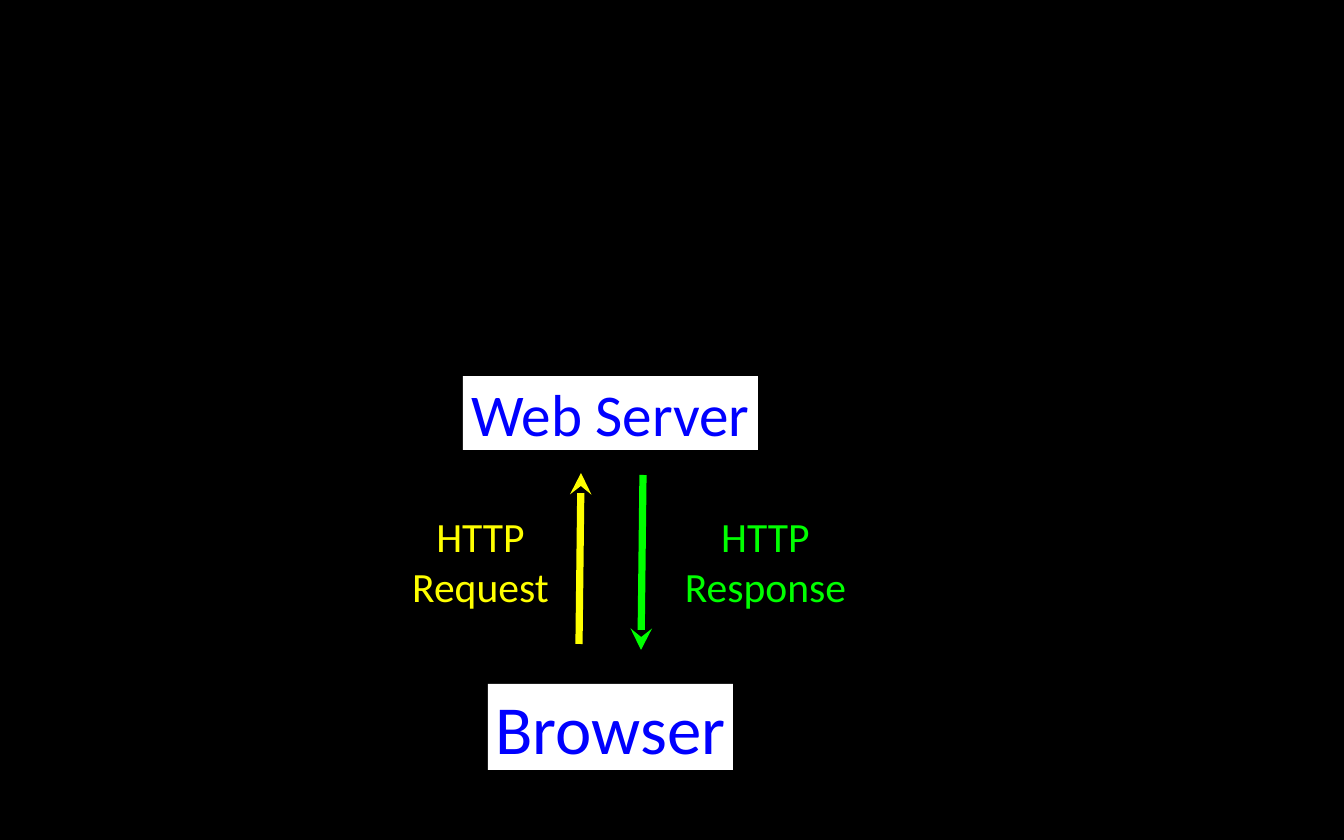
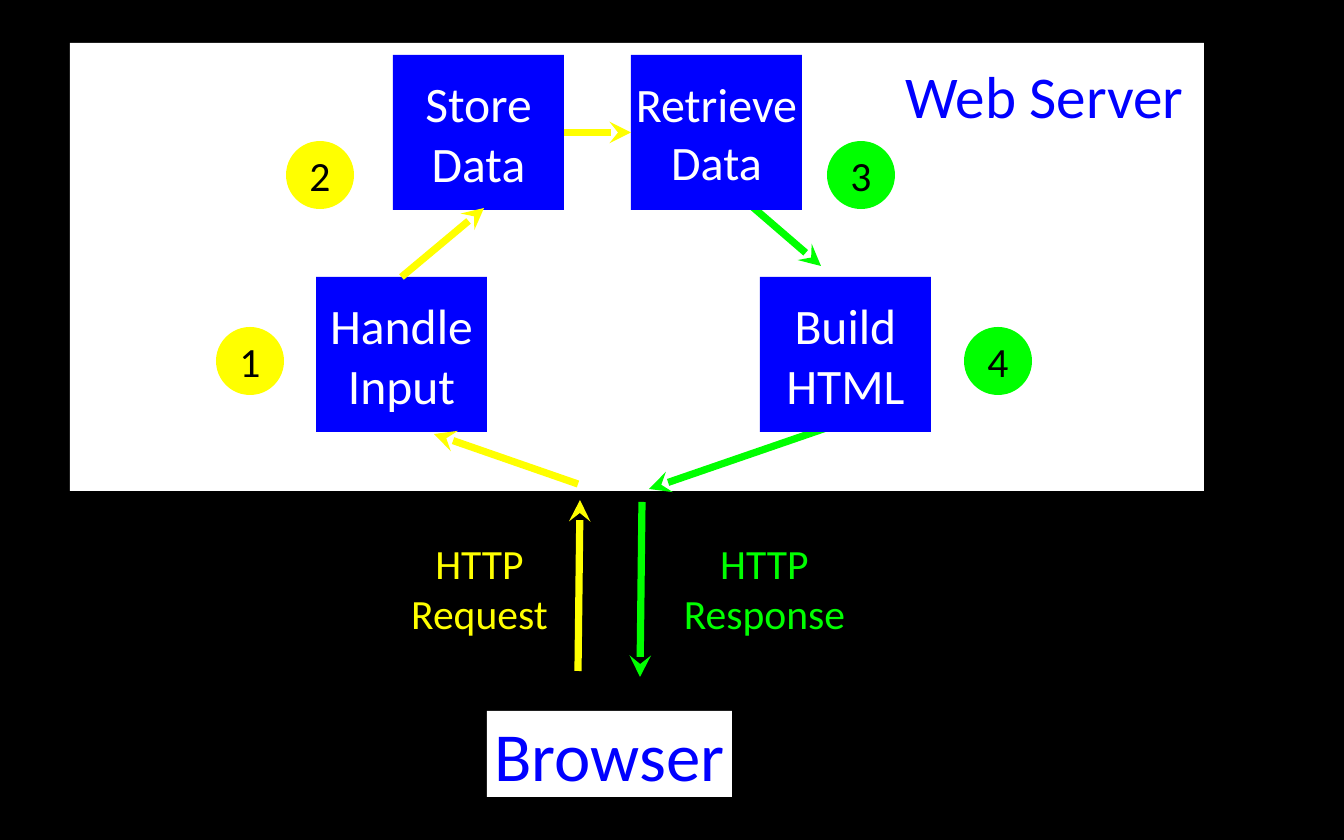
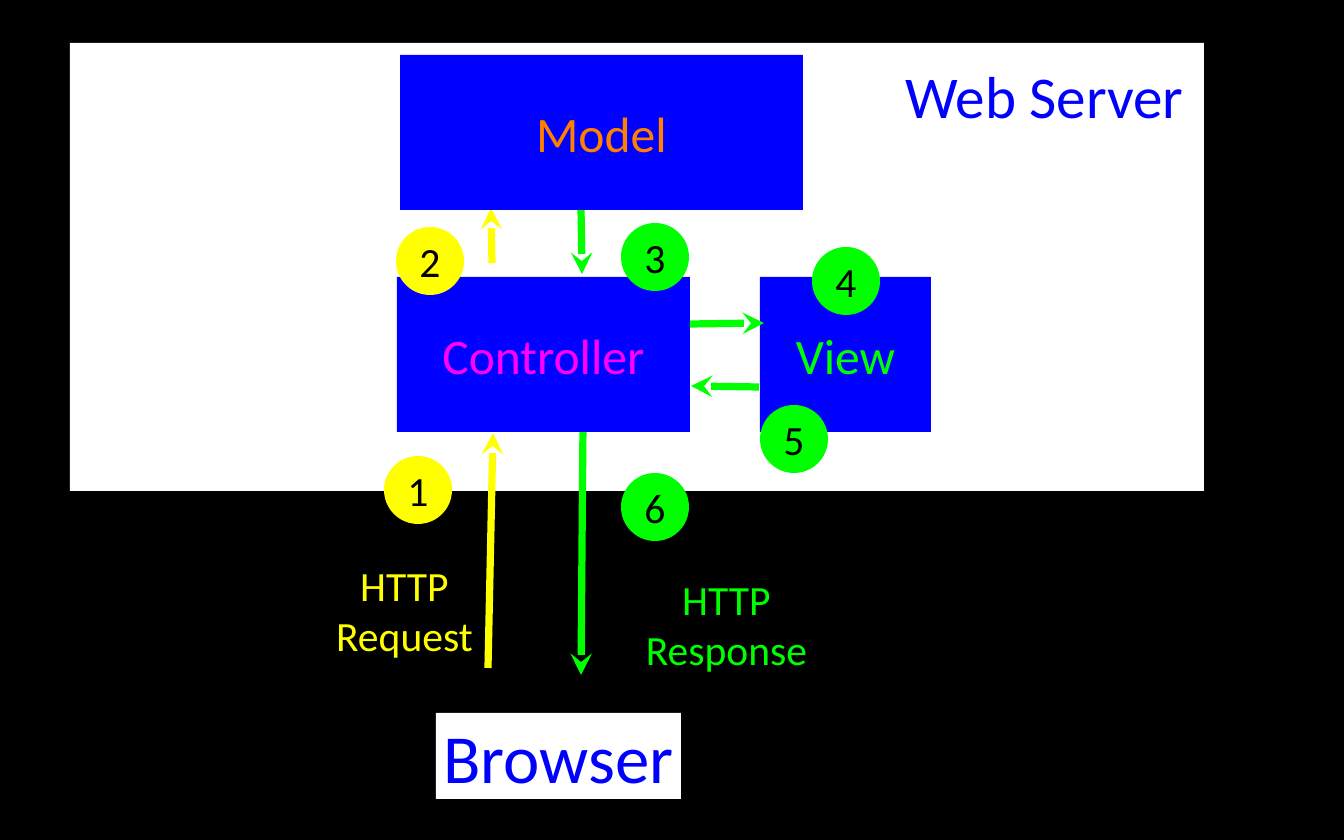
from lxml.etree import SubElement
from pptx import Presentation
from pptx.dml.color import RGBColor
from pptx.enum.shapes import MSO_CONNECTOR, MSO_SHAPE
from pptx.enum.text import MSO_ANCHOR, PP_ALIGN
from pptx.oxml.ns import qn
from pptx.util import Emu, Pt

PX = 15875
BLACK, WHITE, BLUE = "000000", "FFFFFF", "0000FF"
YELLOW, GREEN, MAGENTA, ORANGE = "FFFF00", "00FF00", "FF00FF", "FF7F00"
FONT = "Calibri"
FRAME = dict(margin_left=0, margin_right=0, margin_top=0, margin_bottom=0,
             vertical_anchor=MSO_ANCHOR.MIDDLE)
BOX_W, BOX_H, BADGE = 171, 155, 68
TOP_ROW, LOWER_ROW = 55, 277


def px(*lengths):
    return [Emu(n * PX) for n in lengths]


def rgb(value):
    return RGBColor.from_string(value)


class Diagram:
    """Hold the shared style and the current slide, and draw each kind of element."""

    def __init__(self):
        self.prs = Presentation()
        self.prs.slide_width, self.prs.slide_height = px(1344, 840)
        fill = self.prs.slide_master.background.fill
        fill.solid()
        fill.fore_color.rgb = rgb(BLACK)

    def new_slide(self):
        self.s = self.prs.slides.add_slide(self.prs.slide_layouts[6])

    def set_text(self, sp, text, size, color, wrap):
        tf = sp.text_frame
        for name, value in dict(FRAME, word_wrap=wrap).items():
            setattr(tf, name, value)
        for i, line in enumerate(text.split("\n")):
            p = tf.add_paragraph() if i else tf.paragraphs[0]
            p.alignment = PP_ALIGN.CENTER
            r = p.add_run()
            r.text = line
            for name, value in dict(name=FONT, size=Pt(size)).items():
                setattr(r.font, name, value)
            r.font.color.rgb = rgb(color)

    def shape(self, kind, x, y, w, h, fill, text="", size=62, color=BLUE, wrap=True):
        sp = self.s.shapes.add_shape(kind, *px(x, y, w, h))
        sp.shadow.inherit = False
        sp.fill.solid()
        sp.fill.fore_color.rgb = rgb(fill)
        sp.line.fill.background()
        if text:
            self.set_text(sp, text, size, color, wrap)
        return sp

    def plate(self, x, y, w, h, text, size):
        return self.shape(MSO_SHAPE.RECTANGLE, x, y, w, h, WHITE, text, size, BLUE, False)

    def box(self, x, y, text, color=WHITE, size=62, w=BOX_W):
        return self.shape(MSO_SHAPE.RECTANGLE, x, y, w, BOX_H, BLUE, text, size, color)

    def badge(self, x, y, number, fill):
        self.shape(MSO_SHAPE.OVAL, x, y, BADGE, BADGE, fill, str(number), 52, BLACK)

    def label(self, x, y, w, text, color):
        sp = self.s.shapes.add_textbox(*px(x, y, w, 103))
        self.set_text(sp, text, 52, color, False)

    def arrow(self, x1, y1, x2, y2, color):
        c = self.s.shapes.add_connector(MSO_CONNECTOR.STRAIGHT, *px(x1, y1, x2, y2))
        c.line.width = Pt(9)
        c.line.color.rgb = rgb(color)
        props = c.element.spPr
        SubElement(props.find(qn("a:ln")), qn("a:tailEnd"), type="stealth")
        SubElement(props, qn("a:effectLst"))
        return c

    def server_name(self, x, y):
        self.plate(x, y, 295, 74, "Web Server", 74)

    def server_panel(self):
        self.shape(MSO_SHAPE.RECTANGLE, 70, 43, 1134, 448, WHITE)
        self.server_name(897, 58)

    def exchange(self, browser, request, response, request_arrow, response_arrow):
        self.label(*request, 143, "HTTP\nRequest", YELLOW)
        self.label(*response, 169, "HTTP\nResponse", GREEN)
        self.plate(*browser, 245, 86, "Browser", 86)
        self.arrow(*request_arrow, YELLOW)
        self.arrow(*response_arrow, GREEN)

    def vertical_exchange(self, x, y):
        self.exchange((x, y), (x - 79, y - 175), (x + 193, y - 175),
                      (x + 91, y - 40, x + 93, y - 211),
                      (x + 155, y - 209, x + 153, y - 34))


def request_slide(d):
    d.new_slide()
    d.server_name(463, 376)
    d.vertical_exchange(488, 684)


def steps_slide(d):
    d.new_slide()
    d.server_panel()
    d.vertical_exchange(487, 711)
    d.arrow(748, 203, 821, 266, GREEN)
    d.arrow(832, 426, 649, 489, GREEN)
    store = d.box(393, TOP_ROW, "Store Data")
    retrieve = d.box(631, TOP_ROW, "Retrieve\nData", size=60)
    handle = d.box(316, LOWER_ROW, "Handle\nInput")
    d.box(760, LOWER_ROW, "Build\nHTML")
    d.arrow(578, 484, 434, 434, YELLOW)
    d.arrow(404, 273, 484, 208, YELLOW).begin_connect(handle, 0)
    c = d.arrow(566, 133, 631, 133, YELLOW)
    c.begin_connect(store, 3)
    c.end_connect(retrieve, 1)
    for number, (x, y, fill) in enumerate([
            (216, 327, YELLOW), (286, 141, YELLOW),
            (827, 141, GREEN), (964, 327, GREEN)], 1):
        d.badge(x, y, number, fill)


def mvc_slide(d):
    d.new_slide()
    d.server_panel()
    d.exchange((436, 713), (333, 558), (642, 572),
               (488, 668, 493, 433), (583, 426, 581, 675))
    d.arrow(492, 263, 491, 208, YELLOW)
    d.arrow(581, 206, 582, 274, GREEN)
    d.box(397, LOWER_ROW, "Controller", MAGENTA, w=293)
    d.box(400, TOP_ROW, "Model", ORANGE, w=403)
    d.box(760, LOWER_ROW, "View", GREEN)
    d.arrow(690, 324, 764, 323, GREEN)
    d.arrow(759, 387, 691, 386, GREEN)
    for number, (x, y, fill) in enumerate([
            (384, 456, YELLOW), (396, 227, YELLOW), (621, 223, GREEN),
            (812, 247, GREEN), (760, 405, GREEN), (621, 473, GREEN)], 1):
        d.badge(x, y, number, fill)


def main():
    d = Diagram()
    for build in (request_slide, steps_slide, mvc_slide):
        build(d)
    d.prs.save("out.pptx")


if __name__ == "__main__":
    main()
